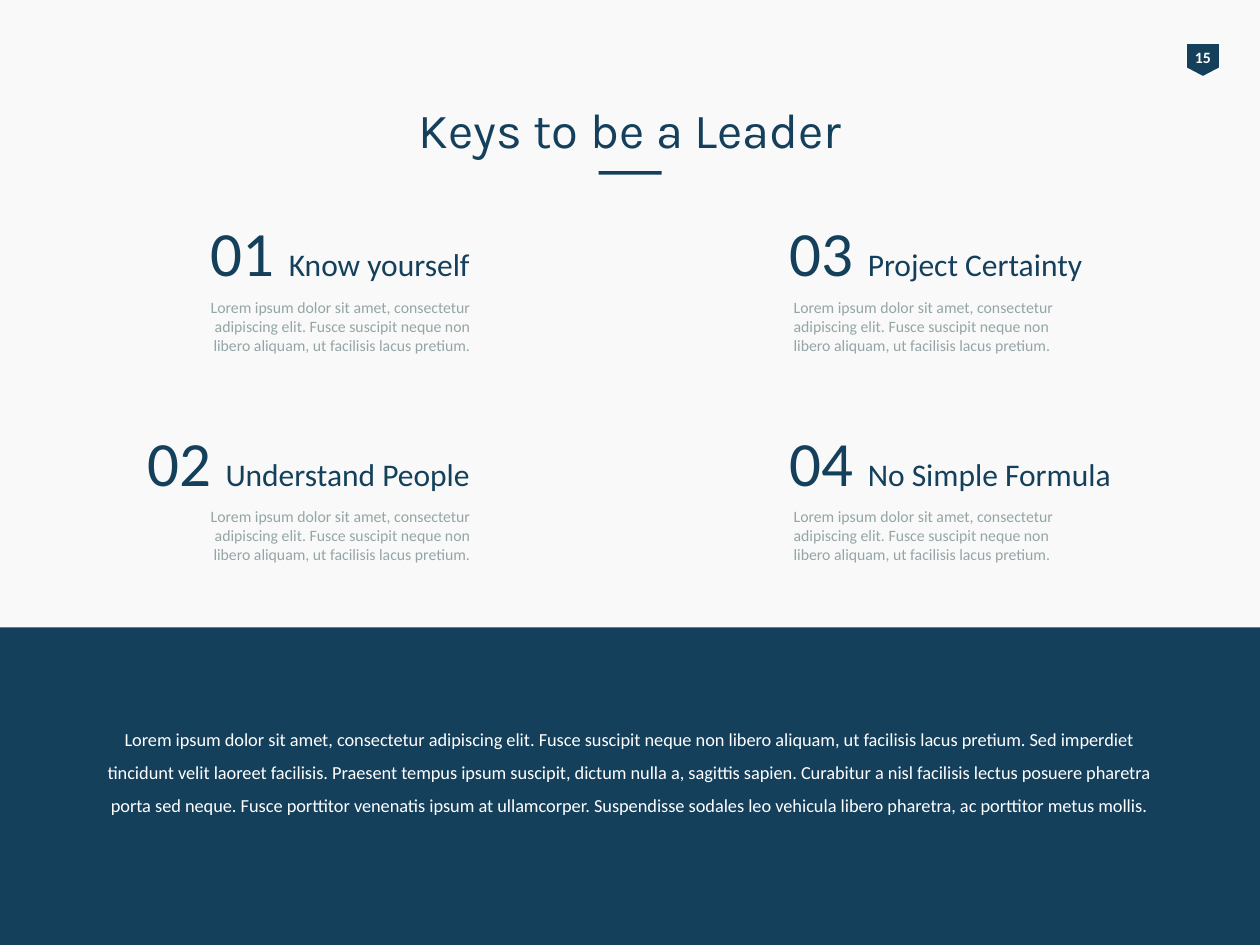
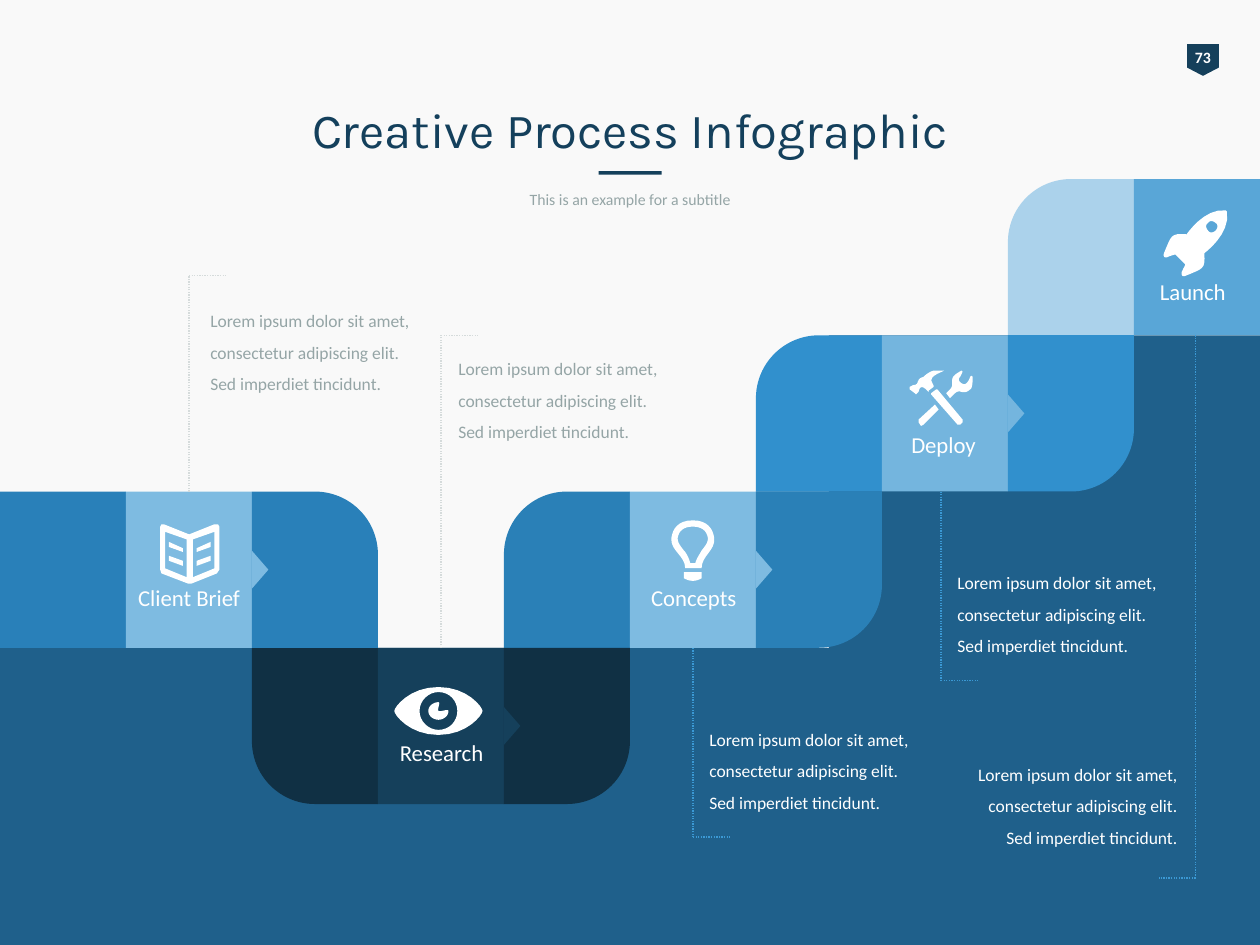
from dataclasses import dataclass

from lxml import etree
from pptx import Presentation
from pptx.dml.color import RGBColor
from pptx.enum.dml import MSO_LINE
from pptx.enum.shapes import MSO_CONNECTOR, MSO_SHAPE
from pptx.enum.text import MSO_ANCHOR, MSO_AUTO_SIZE, PP_ALIGN
from pptx.oxml.ns import qn
from pptx.util import Cm, Pt

LEFT, CENTER, RIGHT = PP_ALIGN.LEFT, PP_ALIGN.CENTER, PP_ALIGN.RIGHT
RECTANGLE = MSO_SHAPE.RECTANGLE
ROUND_CORNER = MSO_SHAPE.ROUND_1_RECTANGLE
TRIANGLE = MSO_SHAPE.ISOSCELES_TRIANGLE
PENTAGON = MSO_SHAPE.PENTAGON
STRAIGHT = MSO_CONNECTOR.STRAIGHT
DOTTED = MSO_LINE.ROUND_DOT

PAPER = RGBColor(0xF9, 0xF9, 0xF9)
WHITE = RGBColor(0xFF, 0xFF, 0xFF)
NAVY = RGBColor(0x15, 0x40, 0x5B)
TITLE_NAVY = RGBColor(0x14, 0x40, 0x5C)
DARK_NAVY = RGBColor(0x10, 0x30, 0x44)
GRAY = RGBColor(0x95, 0xA5, 0xA6)
PALE_GRAY = RGBColor(0xD5, 0xDB, 0xDB)
GROUND = RGBColor(0x1F, 0x60, 0x8B)
BRIEF_BLUE = RGBColor(0x29, 0x80, 0xB9)
CONCEPT_BLUE = RGBColor(0x2A, 0x80, 0xB7)
DEPLOY_BLUE = RGBColor(0x31, 0x90, 0xCD)
LIGHT_BLUE = RGBColor(0x7E, 0xBB, 0xE1)
DEPLOY_LIGHT = RGBColor(0x74, 0xB5, 0xDE)
LAUNCH_BLUE = RGBColor(0x59, 0xA6, 0xD7)
LAUNCH_PALE = RGBColor(0xAB, 0xD2, 0xEB)
LINE_BLUE = RGBColor(0x3B, 0x99, 0xD4)

BODY_FONT, TITLE_FONT = "Calibri", "Karla"
WIDTH, HEIGHT = 25.4, 19.05
COLUMN, ROW, FIRST_ROW = 2.54, 3.15, 3.61
ICON_UNIT = Cm(COLUMN) / 100

LOREM_SHORT = "Lorem ipsum dolor sit amet, consectetur adipiscing elit. "
LOREM_KEY = LOREM_SHORT + "Fusce suscipit neque non libero aliquam, ut facilisis lacus pretium."
LOREM_LONG = LOREM_KEY + (
    " Sed imperdiet tincidunt velit laoreet facilisis. Praesent tempus ipsum suscipit, "
    "dictum nulla a, sagittis sapien. Curabitur a nisl facilisis lectus posuere pharetra "
    "porta sed neque. Fusce porttitor venenatis ipsum at ullamcorper. Suspendisse sodales "
    "leo vehicula libero pharetra, ac porttitor metus mollis.")
LOREM_CALLOUT = LOREM_SHORT + "Sed imperdiet tincidunt."

# Icon contours in hundredths of a column: pairs are corners, sextuples are Bezier curves.
BOOK_LEFT = [
    [(18, 29), (7, 25), (7, 29), (18, 33)],
    [(18, 19), (7, 14), (7, 18), (18, 22)],
    [(21, 42), (4, 35), (4, 6), (21, 12)],
]
BOOK = [
    [(46, 0), (43, 0), (23, 8), (3, 0), (1, 0), (0, 2), (0, 36), (1, 39), (22, 47),
     (25, 47), (45, 39), (47, 36), (47, 2)],
    *BOOK_LEFT,
    *[[(47 - x, y) for x, y in contour] for contour in BOOK_LEFT],
]
EYE = [
    [(35, 0), (12, 0, 0, 16, 0, 19), (0, 22, 12, 38, 35, 38), (58, 38, 70, 22, 70, 19),
     (70, 16, 58, 0, 35, 0)],
    [(35, 34), (27, 34, 20, 27, 20, 19), (20, 11, 27, 4, 35, 4), (44, 4, 50, 11, 50, 19),
     (50, 27, 44, 34, 35, 34)],
    [(35, 19), (34, 17, 37, 12, 35, 12), (31, 12, 27, 15, 27, 19), (27, 23, 31, 26, 35, 26),
     (39, 26, 43, 23, 43, 19), (43, 17, 36, 20, 35, 19)],
]
BULB = [
    [(11, 46), (13, 47, 15, 48, 18, 48), (21, 48, 23, 47, 25, 46), (25, 41), (11, 41)],
    [(25, 38), (25, 28, 36, 24, 35, 14), (34, 7, 30, 0, 18, 0), (6, 0, 2, 7, 1, 14),
     (0, 24, 12, 28, 12, 38)],
    [(6, 14), (7, 8, 11, 5, 18, 5), (25, 5, 29, 8, 30, 14), (30, 18, 28, 20, 25, 24),
     (24, 26, 21, 30, 20, 34), (16, 34), (15, 30, 13, 26, 11, 24), (8, 20, 6, 18, 6, 14)],
]
TOOLS = [
    [(8, 14), (10, 12, 12, 14, 15, 17), (15, 16), (19, 13), (19, 12), (18, 10),
     (13, 4, 30, 0, 27, 0), (20, 0), (17, 0, 13, 3, 11, 5), (8, 6, 7, 7, 7, 8),
     (6, 8, 7, 10, 5, 11), (4, 12, 3, 11, 2, 12), (0, 13), (0, 15), (4, 18), (5, 19), (7, 17)],
    [(22, 15), (21, 15), (17, 18), (17, 19), (38, 43), (40, 43), (42, 41), (42, 39)],
    [(50, 5), (49, 4, 49, 4, 48, 5), (48, 5, 47, 8, 46, 9), (45, 10, 44, 12, 41, 10),
     (38, 8, 39, 6, 40, 5), (42, 1), (41, 0), (40, 1, 35, 3, 34, 6), (33, 9, 35, 12, 32, 15),
     (29, 18), (32, 22), (36, 18), (37, 17, 39, 16, 41, 17), (45, 18, 47, 16, 49, 14),
     (50, 11, 50, 7, 50, 5)],
    [(7, 39), (7, 41), (9, 44), (11, 43), (23, 31), (20, 27)],
]
ROCKET = [
    [(33, 36), (33, 36, 54, 21, 51, 3), (50, 2), (33, 0, 19, 21, 19, 21),
     (6, 20, 7, 22, 1, 36), (0, 39, 2, 40, 4, 39), (6, 38, 10, 37, 10, 37), (18, 45),
     (18, 45, 16, 49, 15, 51), (15, 53, 15, 55, 18, 54), (32, 48, 34, 49, 33, 36)],
    [(36, 18), (34, 16, 34, 13, 36, 12), (37, 10, 40, 10, 42, 12), (44, 13, 44, 16, 42, 18),
     (40, 20, 37, 20, 36, 18)],
]


@dataclass
class Step:
    """One process stage; label and icon places are relative to its middle panel."""
    label: str
    row: int
    panel: RGBColor
    side: RGBColor
    left_flip: str | None
    right_flip: str | None
    label_box: tuple
    icon: list
    icon_at: tuple


STEPS = [
    Step("Client Brief", 2, LIGHT_BLUE, BRIEF_BLUE, None, "", (0.23, 1.85, 2.08), BOOK, (0.69, 0.66)),
    Step("Research", 3, NAVY, DARK_NAVY, "HV", "V", (0.43, 1.83, 1.7), EYE, (0.33, 0.79)),
    Step("Concepts", 2, LIGHT_BLUE, CONCEPT_BLUE, "H", "V", (0.41, 1.85, 1.75), BULB, (0.81, 0.58)),
    Step("Deploy", 1, DEPLOY_LIGHT, DEPLOY_BLUE, "H", "V", (0.58, 1.93, 1.32), TOOLS, (0.56, 0.71)),
    Step("Launch", 0, LAUNCH_BLUE, LAUNCH_PALE, "H", None, (0.51, 1.98, 1.35), ROCKET, (0.58, 0.58)),
]


def row_top(row):
    return FIRST_ROW + row * ROW


def paint(shape, color):
    shape.shadow.inherit = False
    shape.fill.solid()
    shape.fill.fore_color.rgb = color
    shape.line.fill.background()


def add_block(slide, kind, left, top, width, height, color):
    shape = slide.shapes.add_shape(kind, Cm(left), Cm(top), Cm(width), Cm(height))
    paint(shape, color)
    return shape


def format_run(run, size, color, font=BODY_FONT, bold=False):
    run.font.name, run.font.size, run.font.bold = font, Pt(size), bold
    run.font.color.rgb = color


def add_text(slide, box, parts, align=LEFT, spacing=None, wrap=True, bold=False):
    """Add a one-paragraph text box; parts are (text, size, color)."""
    text_box = slide.shapes.add_textbox(*(Cm(length) for length in box))
    text_box.text_frame.word_wrap = wrap
    paragraph = text_box.text_frame.paragraphs[0]
    paragraph.alignment = align
    if spacing:
        paragraph.line_spacing = spacing
    for text, size, color in parts:
        run = paragraph.add_run()
        run.text = text
        format_run(run, size, color, bold=bold)
    return text_box


def add_dotted_line(slide, start, end, color):
    line = slide.shapes.add_connector(STRAIGHT, *(Cm(length) for length in (*start, *end)))
    line.line.color.rgb = color
    line.line.width = Pt(0.75)
    line.line.dash_style = DOTTED
    etree.SubElement(line.element.spPr, qn("a:effectLst"))


def flatten(contour, pieces=8):
    """Turn corners and Bezier curves into points in EMU."""
    points = []
    for item in contour:
        if len(item) == 2:
            points.append(item)
            continue
        controls = [points[-1], item[:2], item[2:4], item[4:]]
        for step in range(1, pieces + 1):
            t = step / pieces
            weights = ((1 - t) ** 3, 3 * t * (1 - t) ** 2, 3 * t * t * (1 - t), t ** 3)
            points.append(tuple(sum(w * c[axis] for w, c in zip(weights, controls))
                                for axis in (0, 1)))
    return [(round(x * ICON_UNIT), round(y * ICON_UNIT)) for x, y in points]


def add_icon(slide, contours, left, top):
    first, *others = [flatten(contour) for contour in contours]
    builder = slide.shapes.build_freeform(*first[0])
    builder.add_line_segments(first[1:], close=True)
    for points in others:
        builder.move_to(*points[0])
        builder.add_line_segments(points[1:], close=True)
    paint(builder.convert_to_shape(Cm(left), Cm(top)), WHITE)


def add_page_badge(slide, number, left=23.93, top=0.89, size=0.64):
    badge = add_block(slide, PENTAGON, left, top, size, size, NAVY)
    badge.adjustments[0] = 0.26
    badge.rotation = 90
    add_text(slide, (left - 0.1, top - 0.05, size + 0.2, 0.48), [(number, 9, WHITE)],
             CENTER, wrap=False, bold=True)


def add_titled_slide(presentation, title, number):
    slide = presentation.slides.add_slide(presentation.slide_layouts[5])
    slide.background.fill.solid()
    slide.background.fill.fore_color.rgb = PAPER
    shape = slide.shapes.title
    shape.left, shape.top, shape.width, shape.height = Cm(1.27), Cm(2.06), Cm(22.86), Cm(1.09)
    frame = shape.text_frame
    frame.text = title
    frame.auto_size = MSO_AUTO_SIZE.NONE
    frame.vertical_anchor = MSO_ANCHOR.MIDDLE
    frame.paragraphs[0].alignment = CENTER
    format_run(frame.paragraphs[0].runs[0], 28, TITLE_NAVY, TITLE_FONT)
    add_block(slide, RECTANGLE, 12.07, 3.45, 1.27, 0.07, NAVY)
    add_page_badge(slide, number)
    return slide


def add_key(slide, number, heading, left, top, align):
    """Add a numbered heading with its paragraph in a box 8.81 cm wide."""
    add_text(slide, (left, top, 8.81, 1.17),
             [(number + " ", 36, NAVY), (heading, 18, TITLE_NAVY)], align)
    body_left = left + 2.82 if align == RIGHT else left + 0.08
    add_text(slide, (body_left, top + 1.69, 5.99, 1.7), [(LOREM_KEY, 9, GRAY)], align)


def build_keys_slide(presentation):
    slide = add_titled_slide(presentation, "Keys to be a Leader", "15")
    band_top = 12.65
    add_block(slide, RECTANGLE, 0, band_top, WIDTH, HEIGHT - band_top, TITLE_NAVY)
    add_text(slide, (1.68, band_top + 1.68, 22.02, 3.02), [(LOREM_LONG, 10.5, WHITE)], CENTER, 1.5)
    headings = ["Know yourself", "Understand People", "Project Certainty", "No Simple Formula"]
    for index, heading in enumerate(headings):
        left, align = (0.91, RIGHT) if index < 2 else (15.67, LEFT)
        add_key(slide, f"{index + 1:02}", heading, left, 4.18 + index % 2 * 4.23, align)


def add_side(slide, left, top, color, flip):
    """Add a step's outer block: square if flip is None, else one round corner."""
    kind = RECTANGLE if flip is None else ROUND_CORNER
    block = add_block(slide, kind, left, top, COLUMN, ROW, color)
    if flip is not None:
        block.adjustments[0] = 0.5
        for axis in flip:
            block.element.spPr.find(qn("a:xfrm")).set("flip" + axis, "1")


def add_step(slide, step, left, top):
    """Add a stage whose middle panel starts at left, top."""
    add_side(slide, left - COLUMN, top, step.side, step.left_flip)
    add_block(slide, RECTANGLE, left, top, COLUMN, ROW, step.panel)
    if step.right_flip is not None:
        add_side(slide, left + COLUMN, top, step.side, step.right_flip)
        base, depth = 0.76, 0.33
        arrow = add_block(slide, TRIANGLE, left + COLUMN + (depth - base) / 2,
                          top + (ROW - depth) / 2, base, depth, step.panel)
        arrow.rotation = 90
    icon_left, icon_top = step.icon_at
    add_icon(slide, step.icon, left + icon_left, top + icon_top)
    label_left, label_top, label_width = step.label_box
    label = add_text(slide, (left + label_left, top + label_top, label_width, 0.56),
                     [(step.label, 13, WHITE)], CENTER, wrap=False)
    frame = label.text_frame
    frame.margin_left = frame.margin_right = frame.margin_top = frame.margin_bottom = 0


def add_callout(slide, text_at, line_x, line_top, line_end, on_ground=True, align=LEFT):
    color, line_color = (WHITE, LINE_BLUE) if on_ground else (GRAY, PALE_GRAY)
    add_text(slide, (*text_at, 4.7, 2.06), [(LOREM_CALLOUT, 10, color)], align, 1.5)
    hook = -0.74 if align == RIGHT else 0.74
    add_dotted_line(slide, (line_x, line_top), (line_x, line_end), line_color)
    add_dotted_line(slide, (line_x, line_end), (line_x + hook, line_end), line_color)


def build_process_slide(presentation):
    slide = add_titled_slide(presentation, "Creative Process Infographic", "73")
    add_text(slide, (1.27, 3.71, 22.86, 0.48), [("This is an example for a subtitle", 9, GRAY)], CENTER)
    add_block(slide, RECTANGLE, 0, row_top(3), WIDTH, HEIGHT - row_top(3), GROUND)
    add_block(slide, RECTANGLE, 16.71, row_top(1), WIDTH - 16.71, 2 * ROW, GROUND)
    for index, step in reversed(list(enumerate(STEPS))):
        add_step(slide, step, (2 * index + 1) * COLUMN, row_top(step.row))
    add_callout(slide, (3.99, 5.92), 3.81, row_top(2), 5.56, on_ground=False)
    add_callout(slide, (8.99, 6.88), 8.89, row_top(3), row_top(1), on_ground=False)
    add_callout(slide, (14.05, 14.35), 13.97, row_top(3), 16.87)
    add_callout(slide, (19.05, 11.2), 18.97, row_top(2), 13.72)
    add_callout(slide, (19.28, 15.06), 24.1, row_top(1), 17.7, align=RIGHT)


def main():
    presentation = Presentation()
    presentation.slide_width, presentation.slide_height = Cm(WIDTH), Cm(HEIGHT)
    build_keys_slide(presentation)
    build_process_slide(presentation)
    presentation.save("out.pptx")


if __name__ == "__main__":
    main()
